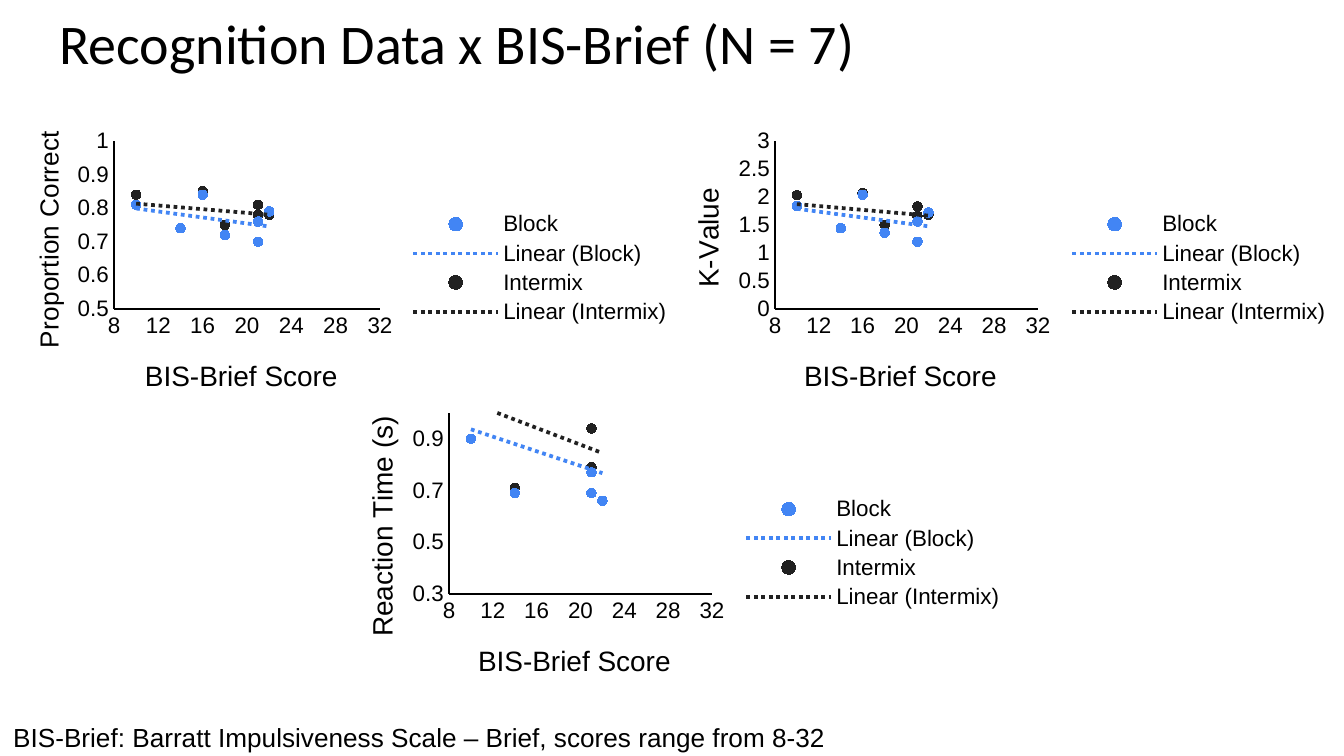
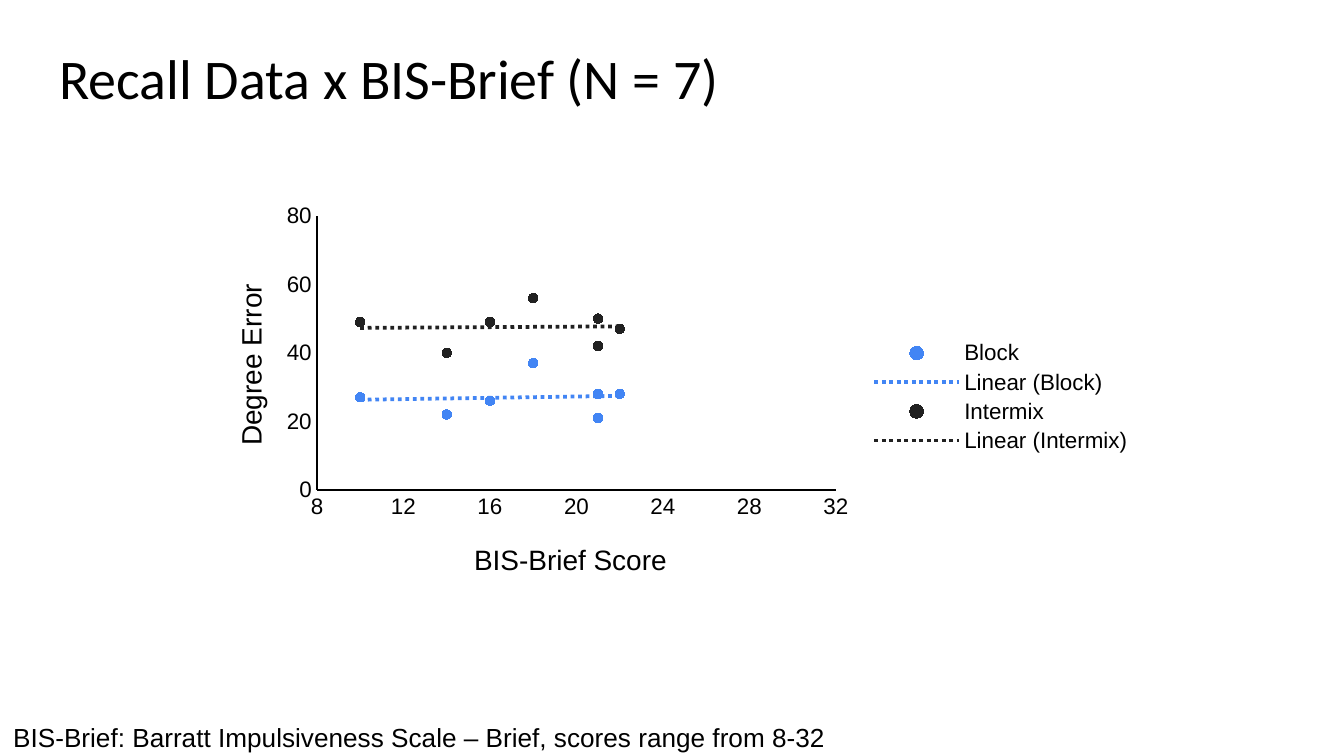
import lxml.etree
import pptx
import pptx.chart.data
import pptx.dml.color
import pptx.enum.chart
import pptx.enum.text
import pptx.oxml
import pptx.oxml.ns
import pptx.util

PX = 914400 / 134.4
INKS = {"text": "000000", "Block": "4285F4", "Intermix": "212121"}
SCORES = [16, 21, 22, 21, 14, 18, 10]
NOTE = "BIS-Brief: Barratt Impulsiveness Scale – Brief, scores range from 8-32"
NS = pptx.oxml.ns.nsdecls("c", "a")
qn = pptx.oxml.ns.qn

# Boxes are left, top, width, height in px; "name_top" is the top of the value axis title.
SLIDES = [
    {"title": "Recognition Data x BIS-Brief (N = 7)", "top": -5, "charts": [
        {"name": "Proportion Correct", "size": 14, "name_top": 126,
         "box": (-5, 122, 690, 292), "plot": (114, 141, 266, 168),
         "range": (0.5, 1, 0.1),
         "Block": [0.84, 0.7, 0.79, 0.76, 0.74, 0.72, 0.81],
         "Intermix": [0.85, 0.78, 0.78, 0.81, 0.74, 0.75, 0.84]},
        {"name": "K-Value", "size": 15, "name_top": 183,
         "box": (653, 122, 691, 292), "plot": (775, 141, 263, 168),
         "range": (0, 3, 0.5),
         "Block": [2.04, 1.2, 1.72, 1.56, 1.44, 1.36, 1.84],
         "Intermix": [2.07, 1.66, 1.68, 1.83, 1.44, 1.5, 2.03]},
        {"name": "Reaction Time (s)", "size": 15, "name_top": 411,
         "box": (327, 407, 691, 292), "plot": (449, 413, 263, 181),
         "range": (0.3, 1, 0.2),
         "Block": [1.01, 0.77, 0.66, 0.69, 0.69, 1.1, 0.9],
         "Intermix": [1.19, 0.94, 0.66, 0.79, 0.71, 1.12, 1.02]},
    ]},
    {"title": "Recall Data x BIS-Brief (N = 7)", "top": 30, "charts": [
        {"name": "Degree Error", "size": 15, "name_top": 279,
         "box": (196, 196, 950, 402), "plot": (317, 216, 519, 274),
         "range": (0, 80, 20),
         "Block": [26, 21, 28, 28, 22, 37, 27],
         "Intermix": [49, 50, 47, 42, 40, 56, 49]},
    ]},
]


def style(font, size, face="Arial"):
    font.size = pptx.util.Pt(size)
    font.name = face
    font.bold = False
    font.color.rgb = pptx.dml.color.RGBColor.from_string(INKS["text"])


def place(node, frame, left, top, size=None):
    """Pin a chart part at slide px, as shares of the chart frame."""
    x, y, wide, high = frame
    parts = {"xMode": "edge", "yMode": "edge",
             "x": round((left - x) / wide, 4), "y": round((top - y) / high, 4)}
    if size:
        parts = {"layoutTarget": "inner", **parts,
                 "w": round(size[0] / wide, 4), "h": round(size[1] / high, 4)}
    layout = node.find(qn("c:layout"))
    if layout is None:
        layout = lxml.etree.Element(qn("c:layout"))
        tx = node.find(qn("c:tx"))
        node.insert(0 if tx is None else 1, layout)
    manual = lxml.etree.SubElement(layout, qn("c:manualLayout"))
    for tag, val in parts.items():
        lxml.etree.SubElement(manual, qn("c:" + tag)).set("val", str(val))


deck = pptx.Presentation()
deck.slide_width = round(1344 * PX)
deck.slide_height = round(756 * PX)

for page in SLIDES:
    slide = deck.slides.add_slide(deck.slide_layouts[5])

    title = slide.shapes.title
    title.left, title.top, title.width, title.height = [
        round(n * PX) for n in (46, page["top"], 1253, 85)]
    frame = title.text_frame
    frame.auto_size = pptx.enum.text.MSO_AUTO_SIZE.NONE
    frame.word_wrap = True
    frame.vertical_anchor = pptx.enum.text.MSO_ANCHOR.TOP
    frame.margin_left = frame.margin_right = pptx.util.Inches(0.1)
    frame.margin_top = frame.margin_bottom = pptx.util.Inches(0.1)
    para = frame.paragraphs[0]
    para.alignment = pptx.enum.text.PP_ALIGN.LEFT
    run = para.add_run()
    run.text = page["title"]
    style(run.font, 30, "Calibri")

    note = slide.shapes.add_textbox(*[round(n * PX) for n in (0, 715, 848, 46)])
    note.text_frame.word_wrap = False
    note.text_frame.auto_size = pptx.enum.text.MSO_AUTO_SIZE.SHAPE_TO_FIT_TEXT
    run = note.text_frame.paragraphs[0].add_run()
    run.text = NOTE
    style(run.font, 14)

    for item in page["charts"]:
        box, plot = item["box"], item["plot"]
        data = pptx.chart.data.XyChartData()
        for group in ("Block", "Intermix"):
            points = data.add_series(group)
            for score, val in zip(SCORES, item[group]):
                points.add_data_point(score, val)
        chart = slide.shapes.add_chart(
            pptx.enum.chart.XL_CHART_TYPE.XY_SCATTER,
            *[round(n * PX) for n in box], data).chart
        style(chart.font, 10)
        chart.has_title = False
        chart.plots[0].vary_by_categories = False
        place(chart.plots[0]._element.getparent(), box, plot[0], plot[1], plot[2:])

        for dots in chart.plots[0].series:
            ink = INKS[dots.name]
            color = pptx.dml.color.RGBColor.from_string(ink)
            dots.format.line.fill.background()
            dots.marker.style = pptx.enum.chart.XL_MARKER_STYLE.CIRCLE
            dots.marker.size = 5
            for fill in (dots.marker.format.fill, dots.marker.format.line.fill):
                fill.solid()
                fill.fore_color.rgb = color
            trend = pptx.oxml.parse_xml(
                f'<c:trendline {NS}><c:spPr><a:ln w="25400"><a:solidFill>'
                f'<a:srgbClr val="{ink}"/></a:solidFill><a:prstDash val="sysDot"/>'
                '</a:ln></c:spPr><c:trendlineType val="linear"/>'
                '<c:dispRSqr val="0"/><c:dispEq val="0"/></c:trendline>')
            dots._element.find(qn("c:xVal")).addprevious(trend)

        # The score title sits slightly left of the plot's centre.
        left = plot[0] + plot[2] // 2 - 107
        axes = [
            (chart.category_axis, "BIS-Brief Score", 15, (8, 32, 4),
             left, box[1] + box[3] - 61),
            (chart.value_axis, item["name"], item["size"], item["range"],
             box[0] + 32, item["name_top"]),
        ]
        for axis, name, size, (low, high, step), x, y in axes:
            axis.minimum_scale, axis.maximum_scale = low, high
            axis.major_unit = step
            axis.has_major_gridlines = False
            axis.major_tick_mark = pptx.enum.chart.XL_TICK_MARK.NONE
            axis.minor_tick_mark = pptx.enum.chart.XL_TICK_MARK.NONE
            axis.tick_labels.number_format = "General"
            axis.tick_labels.number_format_is_linked = False
            style(axis.tick_labels.font, 12)
            axis.format.line.width = pptx.util.Pt(1)
            axis.format.line.color.rgb = pptx.dml.color.RGBColor.from_string(
                INKS["text"])
            label = axis.axis_title
            run = label.text_frame.paragraphs[0].add_run()
            run.text = name
            style(run.font, size)
            place(label._element, box, x, y)
            if axis is chart.value_axis or name == item["name"]:
                body = next(label._element.iter(qn("a:bodyPr")))
                body.set("rot", "-5400000")
                body.set("vert", "horz")

        chart.has_legend = True
        legend = chart.legend
        legend.position = pptx.enum.chart.XL_LEGEND_POSITION.RIGHT
        legend.include_in_layout = False
        style(legend.font, 12)
        for index in (3, 2):
            entry = pptx.oxml.parse_xml(
                f'<c:legendEntry {NS}><c:idx val="{index}"/>'
                '<c:delete val="1"/></c:legendEntry>')
            legend._element.find(qn("c:legendPos")).addnext(entry)

deck.save("out.pptx")
